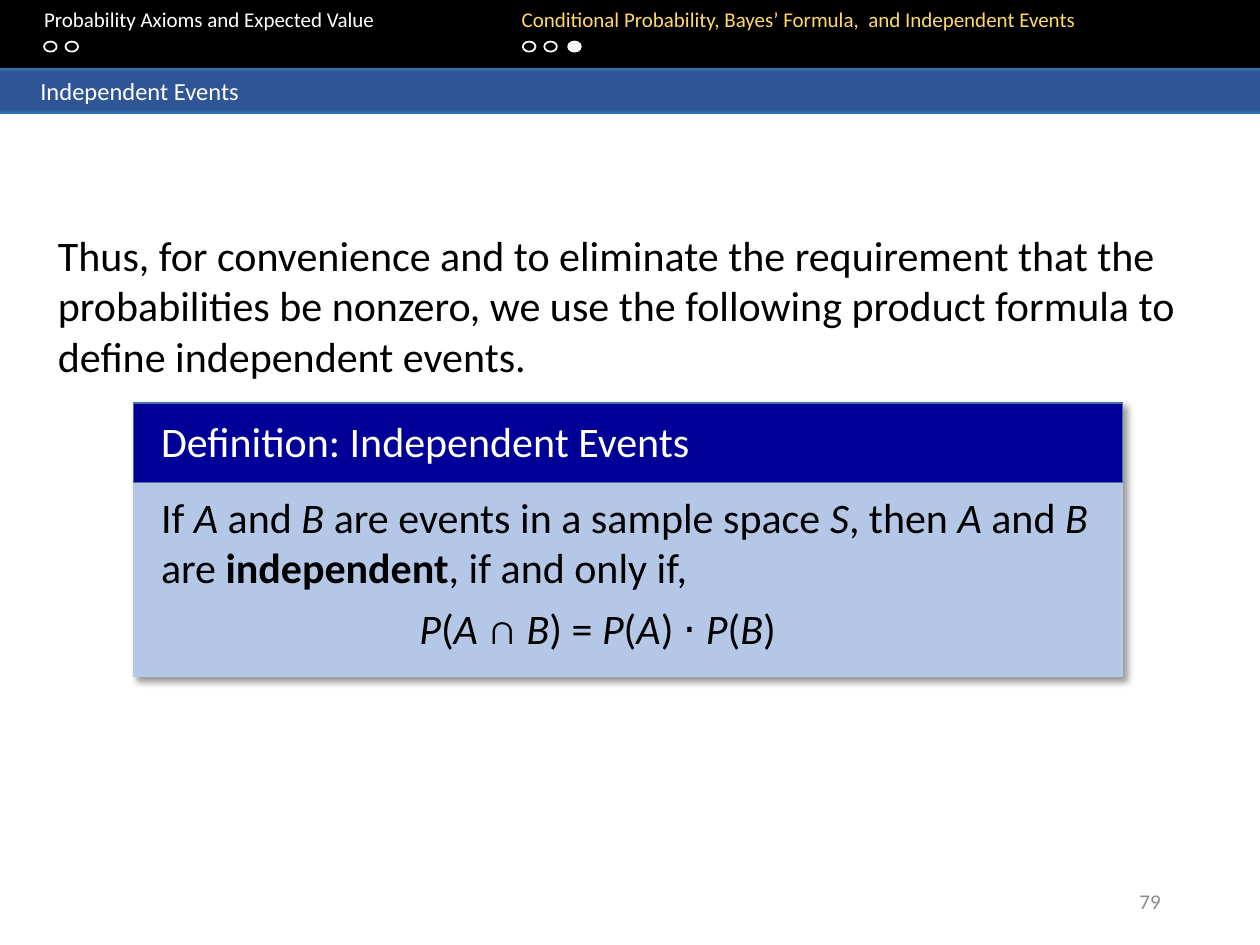
from lxml import etree
from pptx import Presentation
from pptx.dml.color import RGBColor
from pptx.enum.shapes import MSO_SHAPE
from pptx.enum.text import MSO_ANCHOR, MSO_AUTO_SIZE, PP_ALIGN
from pptx.oxml import parse_xml
from pptx.oxml.ns import nsdecls, qn
from pptx.util import Inches, Pt

RECTANGLE, OVAL = MSO_SHAPE.RECTANGLE, MSO_SHAPE.OVAL
MIDDLE, NO_AUTOFIT, RIGHT = MSO_ANCHOR.MIDDLE, MSO_AUTO_SIZE.NONE, PP_ALIGN.RIGHT
WHITE, BLACK, GOLD, GREY = "FFFFFF", "000000", "FFD966", "8C8C8C"
NAVY, PALE_BLUE, STEEL = "000099", "B4C7E7", "43739E"


def add_box(shapes, kind, place, fill=None, line=None):
    box = shapes.add_shape(kind, *map(Inches, place))
    box.shadow.inherit = False
    if fill:
        box.fill.solid()
        box.fill.fore_color.rgb = RGBColor.from_string(fill)
    else:
        box.fill.background()
    if line:
        box.line.color.rgb = RGBColor.from_string(line)
        box.line.width = Pt(1)
    else:
        box.line.fill.background()
    return box


def style_text(para, size, colour):
    for span in para.runs:
        span.font.name = "Calibri"
        span.font.size = Pt(size)
        span.font.color.rgb = RGBColor.from_string(colour)


deck = Presentation()
deck.slide_width, deck.slide_height = Inches(10), Inches(7.5)
page = deck.slides.add_slide(deck.slide_layouts[1])
title, body = page.placeholders

# Title band
title.left, title.top, title.width, title.height = map(Inches, (0, 0.54, 10, 0.36))
stops = "".join(
    f'<a:gs pos="{percent * 1000}"><a:srgbClr val="{colour}"/></a:gs>'
    for percent, colour in [(0, "2E75B6"), (11, "2F5597"), (91, "2F5597"), (100, "2E75B6")])
title._element.spPr.append(parse_xml(
    f'<a:gradFill {nsdecls("a")} rotWithShape="1"><a:gsLst>{stops}</a:gsLst>'
    '<a:lin ang="5400000" scaled="0"/></a:gradFill>'))
frame = title.text_frame
frame.text = "Independent Events"
frame.auto_size, frame.vertical_anchor = NO_AUTOFIT, MIDDLE
frame.margin_left = Inches(0.32)
frame.margin_top = frame.margin_bottom = 0
frame.paragraphs[0].alignment = PP_ALIGN.LEFT
style_text(frame.paragraphs[0], 14, WHITE)

# Introductory paragraph
body.left, body.top, body.width, body.height = map(Inches, (0.36, 1.77, 9.42, 1.42))
frame = body.text_frame
frame.text = (
    "Thus, for convenience and to eliminate the requirement that the probabilities "
    "be nonzero, we use the following product formula to define independent events.")
frame.auto_size = NO_AUTOFIT
para = frame.paragraphs[0]
properties = para._p.get_or_add_pPr()
properties.set("marL", "0")
properties.set("indent", "0")
etree.SubElement(properties, qn("a:buNone"))
para.space_before = Pt(0)
style_text(para, 24, BLACK)

# Navigation header with progress dots
add_box(page.shapes, RECTANGLE, (0, -0.02, 10, 0.56), BLACK)
header = page.shapes.add_textbox(0, 0, Inches(10), Inches(0.5))
frame = header.text_frame
frame.word_wrap = True
frame.margin_left = Inches(0.35)
para = frame.paragraphs[0]
tabs = etree.SubElement(para._p.get_or_add_pPr(), qn("a:tabLst"))
etree.SubElement(tabs, qn("a:tab"), pos=str(Inches(3.79)), algn="l")
for text, colour in [
        ("Probability Axioms and Expected Value", WHITE),
        ("\tConditional Probability, Bayes’ Formula,  and Independent Events", GOLD)]:
    span = para.add_run()
    span.text = text
style_text(para, 12, WHITE)
span.font.color.rgb = RGBColor.from_string(colour)

for left, fill in [(0.35, None), (0.52, None), (4.15, None), (4.32, None), (4.51, "F2F2F2")]:
    add_box(page.shapes, OVAL, (left, 0.33, 0.1, 0.08), fill, WHITE)

# Definition panel
group = page.shapes.add_group_shape()
panel = add_box(group.shapes, RECTANGLE, (1.06, 3.2, 7.85, 2.17), PALE_BLUE, PALE_BLUE)
effects = panel._element.spPr.find(qn("a:effectLst"))
effects.append(parse_xml(
    f'<a:outerShdw {nsdecls("a")} blurRad="{Pt(4)}" dist="{Pt(3)}" dir="2700000" algn="tl" '
    'rotWithShape="0"><a:srgbClr val="000000"><a:alpha val="40000"/></a:srgbClr></a:outerShdw>'))
add_box(group.shapes, RECTANGLE, (1.06, 3.2, 7.85, 0.63), NAVY, STEEL)

heading = group.shapes.add_textbox(*map(Inches, (1.18, 3.25, 7.15, 0.5)))
heading.text_frame.word_wrap = True
heading.text_frame.text = "Definition: Independent Events"
style_text(heading.text_frame.paragraphs[0], 24, WHITE)

definition = group.shapes.add_textbox(*map(Inches, (1.18, 3.85, 7.57, 1.4)))
frame = definition.text_frame
frame.word_wrap = True
# Underscores enclose the italic symbols
statement = ("If _A_ and _B_ are events in a sample space _S_, then _A_ and _B_ are ",
             "independent", ", if and only if,")
formula = ("_P_(_A_ ∩ _B_) = _P_(_A_) ⋅ _P_(_B_)",)
for para, parts in [(frame.paragraphs[0], statement), (frame.add_paragraph(), formula)]:
    for part in parts:
        for index, text in enumerate(part.split("_")):
            if text:
                span = para.add_run()
                span.text = text
                span.font.italic = index % 2 == 1
                span.font.bold = part == "independent"
    para.space_after = Pt(6)
    style_text(para, 24, BLACK)
para._p.get_or_add_pPr().set("marL", str(Inches(2.05)))

# Page number
number = page.shapes.add_textbox(*map(Inches, (7.06, 6.95, 2.25, 0.4)))
number.text_frame.text = "79"
number.text_frame.word_wrap = True
number.text_frame.vertical_anchor = MIDDLE
number.text_frame.paragraphs[0].alignment = RIGHT
style_text(number.text_frame.paragraphs[0], 12, GREY)

deck.save("out.pptx")
